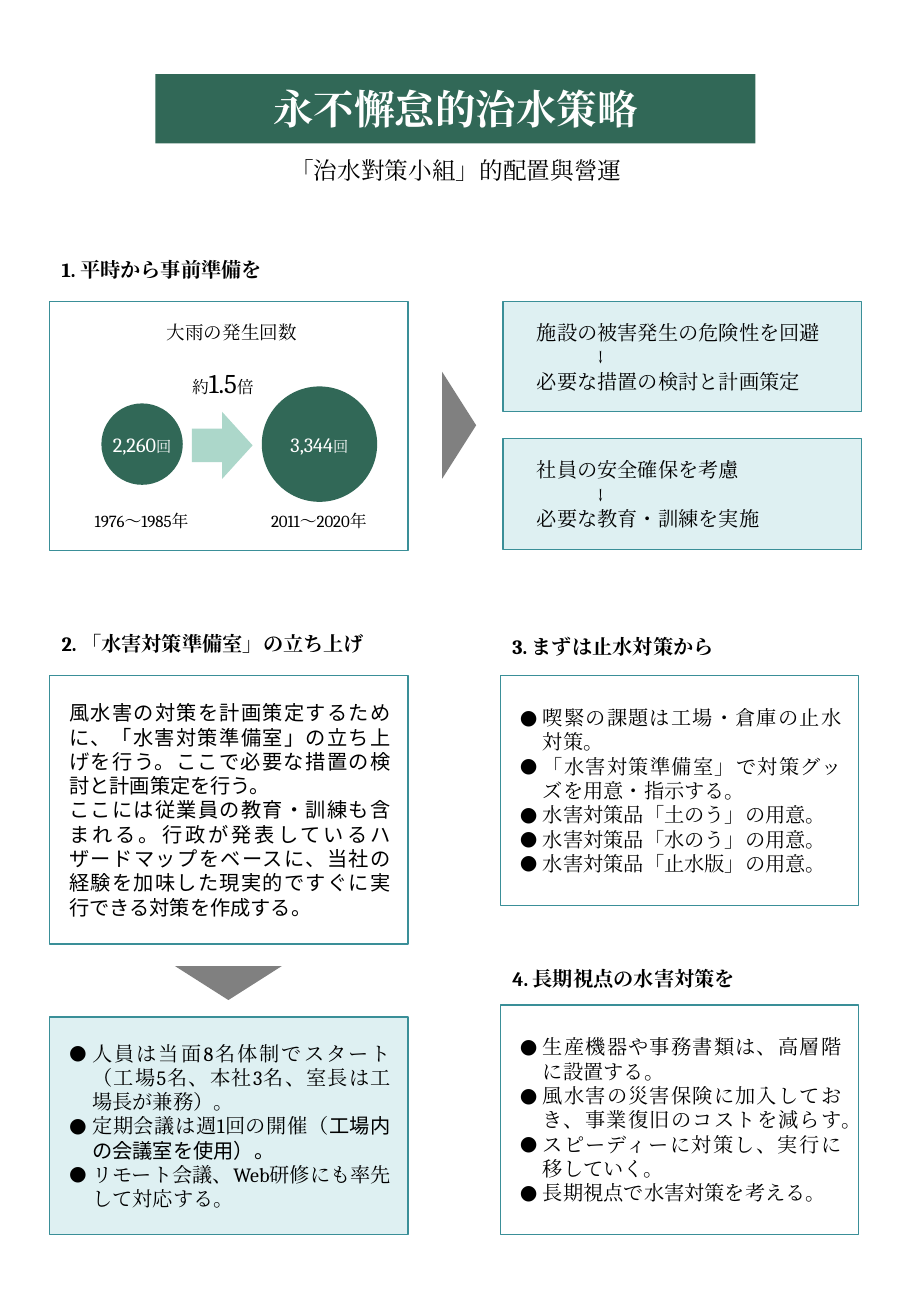
from dataclasses import dataclass

from lxml.etree import SubElement
from pptx import Presentation
from pptx.dml.color import RGBColor
from pptx.enum.lang import MSO_LANGUAGE_ID as Language
from pptx.enum.shapes import MSO_SHAPE as Shape
from pptx.enum.text import MSO_ANCHOR as Anchor, MSO_AUTO_SIZE as AutoSize, PP_ALIGN as Align
from pptx.oxml.ns import qn
from pptx.util import Inches, Pt


@dataclass(frozen=True)
class Theme:
    """Colours, fonts and type sizes of the leaflet."""
    green: str = "316857"
    mint: str = "ACD7CA"
    pale: str = "DEF0F2"
    teal: str = "3A8F98"
    grey: str = "808080"
    white: str = "FFFFFF"
    black: str = "000000"
    serif: str = "Cambria"
    sans: str = "Noto Sans CJK JP"
    title: int = 24
    figure: int = 16
    subtitle: int = 14
    body: int = 12
    caption: int = 11
    label: int = 10
    unit: int = 9
    leading: float = 1.2


THEME = Theme()
LEFT, RIGHT, WIDTH = 0.41, 4.12, 2.95
LIST_MARGINS = (0.16, 0.14)
STEP_MARGINS = (0.28, 0.13)

STAFF = [
    [("人員は当面8名体制でスタート（工場5名、本社3名、室長は工場長が兼務）。",)],
    [("定期会議は週1回の開催（",),
     ("工場内の会議室を使用）。", THEME.body, THEME.sans)],
    [("リモート会議、Web研修にも率先して対応する。",)],
]
FLOOD_BARRIERS = [[(item,)] for item in (
    "喫緊の課題は工場・倉庫の止水対策。",
    "「水害対策準備室」で対策グッズを用意・指示する。",
    "水害対策品「土のう」の用意。",
    "水害対策品「水のう」の用意。",
    "水害対策品「止水版」の用意。",
)]
LONG_TERM = [[(item,)] for item in (
    "生産機器や事務書類は、高層階に設置する。",
    "風水害の災害保険に加入しておき、事業復旧のコストを減らす。",
    "スピーディーに対策し、実行に移していく。",
    "長期視点で水害対策を考える。",
)]
OFFICE = [[(passage, THEME.body, THEME.sans)] for passage in (
    "風水害の対策を計画策定するために、「水害対策準備室」の立ち上げを行う。"
    "ここで必要な措置の検討と計画策定を行う。",
    "ここには従業員の教育・訓練も含まれる。行政が発表しているハザードマップをベースに、"
    "当社の経験を加味した現実的ですぐに実行できる対策を作成する。",
)]


def add_span(para, text, size=THEME.body, font=THEME.serif, color=THEME.black, bold=False):
    """Add one formatted run to a paragraph."""
    span = para.add_run()
    span.text = text
    span.font.size = Pt(size)
    span.font.name = font
    span.font.bold = bold
    span.font.color.rgb = RGBColor.from_string(color)
    span.font.language_id = Language.JAPANESE
    SubElement(span.font._element, qn("a:ea"), typeface=font)


def add_bullet(para):
    """Give a paragraph a hanging round bullet."""
    props = para._p.get_or_add_pPr()
    props.set("marL", str(Inches(0.19)))
    props.set("indent", str(-Inches(0.19)))
    SubElement(props, qn("a:buFont"), typeface=THEME.serif)
    SubElement(props, qn("a:buChar"), char="●")


def remove_bullet(para, tab=None):
    """Clear bullet and indent, with an optional tab stop."""
    props = para._p.get_or_add_pPr()
    props.set("marL", "0")
    props.set("indent", "0")
    SubElement(props, qn("a:buNone"))
    if tab:
        stops = SubElement(props, qn("a:tabLst"))
        SubElement(stops, qn("a:tab"), pos=str(Inches(tab)), algn="l")


def write(box, paragraphs, align=Align.JUSTIFY, anchor=Anchor.TOP, margins=(0.1, 0.1),
          bullets=False, tab=None, **style):
    """Fill a box with paragraphs, each a list of (text, size, font) runs."""
    frame = box.text_frame
    frame.word_wrap = True
    frame.auto_size = AutoSize.NONE
    frame.vertical_anchor = anchor
    frame.margin_left, frame.margin_right = map(Inches, margins)
    frame.margin_top = frame.margin_bottom = Inches(0.05)
    for index, runs in enumerate(paragraphs):
        para = frame.add_paragraph() if index else frame.paragraphs[0]
        size = max(run[1] if len(run) > 1 else THEME.body for run in runs)
        para.alignment = align
        para.line_spacing = Pt(size * THEME.leading)
        para.space_before = para.space_after = Pt(0)
        if bullets:
            add_bullet(para)
        else:
            remove_bullet(para, tab)
        for run in runs:
            add_span(para, *run, **style)


def place(box, left, top, width, height):
    """Move and size a placeholder."""
    box.left, box.top, box.width, box.height = map(Inches, (left, top, width, height))


def paint(box, fill=None, line=None):
    """Set the fill and outline of a box."""
    if fill:
        box.fill.solid()
        box.fill.fore_color.rgb = RGBColor.from_string(fill)
    else:
        box.fill.background()
    if line:
        box.line.color.rgb = RGBColor.from_string(line)
        box.line.width = Pt(0.75)
    else:
        box.line.fill.background()


def add_figure(page, kind, left, top, width, height, fill=None, line=None, rotation=0):
    """Add a preset shape without shadow."""
    figure = page.shapes.add_shape(kind, *map(Inches, (left, top, width, height)))
    figure.shadow.inherit = False
    figure.rotation = rotation
    paint(figure, fill, line)
    return figure


def add_label(page, left, top, width, height, *runs, align=Align.CENTER, bold=False):
    """Add a one-line text box."""
    box = page.shapes.add_textbox(*map(Inches, (left, top, width, height)))
    write(box, [runs], align, bold=bold)


def fill_list(box, left, top, height, items, fill=None):
    """Turn a body placeholder into a framed bullet list."""
    place(box, left, top, WIDTH, height)
    paint(box, fill, THEME.teal)
    write(box, items, anchor=Anchor.MIDDLE, margins=LIST_MARGINS, bullets=True)


def add_step(page, top, concern, action):
    """Add a pale panel that leads from a concern to an action."""
    panel = add_figure(page, Shape.RECTANGLE, 4.14, top, WIDTH, 0.91, THEME.pale, THEME.teal)
    write(panel, [[(concern,)], [("\t↓",)], [(action,)]], anchor=Anchor.MIDDLE,
          margins=STEP_MARGINS, tab=0.49)


def add_rainfall(page):
    """Draw the comparison of heavy rain counts."""
    add_figure(page, Shape.RECTANGLE, LEFT, 2.48, WIDTH, 2.05, line=THEME.teal)
    add_label(page, 1.03, 2.59, 1.76, 0.29, ("大雨の発生回数", THEME.caption))
    add_label(page, 1.33, 2.97, 1.01, 0.37, ("約", THEME.label), ("1.5", THEME.figure),
              ("倍", THEME.label))
    add_figure(page, Shape.RIGHT_ARROW, 1.58, 3.39, 0.5, 0.55, THEME.mint)
    for center, size, count, years in ((1.17, 0.67, "2,260", "1976～1985年"),
                                       (2.63, 0.95, "3,344", "2011～2020年")):
        circle = add_figure(page, Shape.OVAL, center - size / 2, 3.655 - size / 2, size, size,
                            THEME.green)
        write(circle, [[(count,), ("回", THEME.unit)]], Align.CENTER, Anchor.MIDDLE, (0, 0),
              color=THEME.white)
        circle.text_frame.word_wrap = False
        add_label(page, center - 0.7, 4.15, 1.39, 0.28, (years, THEME.label))


def main():
    """Build and save the leaflet."""
    deck = Presentation()
    deck.slide_width, deck.slide_height = Inches(7.5), Inches(10.83)
    page = deck.slides.add_slide(deck.slide_layouts.get_by_name("Comparison"))
    title, subtitle, staff, barriers, long_term = list(page.placeholders)[:5]

    place(title, 1.28, 0.61, 4.94, 0.57)
    paint(title, THEME.green)
    write(title, [[("永不懈怠的治水策略", THEME.title)]], Align.CENTER, Anchor.MIDDLE,
          color=THEME.white, bold=True)
    place(subtitle, 1.47, 1.23, 4.57, 0.34)
    write(subtitle, [[("「治水對策小組」的配置與營運", THEME.subtitle)]], Align.CENTER)

    for left, top, heading in ((LEFT, 2.07, "1. 平時から事前準備を"),
                               (LEFT, 5.15, "2. 「水害対策準備室」の立ち上げ"),
                               (RIGHT, 5.17, "3. まずは止水対策から"),
                               (RIGHT, 7.9, "4. 長期視点の水害対策を")):
        add_label(page, left, top, 2.97, 0.3, (heading,), align=Align.JUSTIFY, bold=True)

    add_rainfall(page)
    add_step(page, 2.48, "施設の被害発生の危険性を回避", "必要な措置の検討と計画策定")
    add_step(page, 3.61, "社員の安全確保を考慮", "必要な教育・訓練を実施")
    for left, top, rotation in ((3.34, 3.36, 90), (1.44, 7.95, 180)):
        add_figure(page, Shape.ISOSCELES_TRIANGLE, left, top, 0.88, 0.28, THEME.grey,
                   rotation=rotation)

    office = add_figure(page, Shape.RECTANGLE, LEFT, 5.56, WIDTH, 2.21, line=THEME.teal)
    write(office, OFFICE, anchor=Anchor.MIDDLE, margins=LIST_MARGINS)
    fill_list(staff, LEFT, 8.37, 1.79, STAFF, THEME.pale)
    fill_list(barriers, RIGHT, 5.56, 1.89, FLOOD_BARRIERS)
    fill_list(long_term, RIGHT, 8.27, 1.89, LONG_TERM)
    deck.save("out.pptx")


if __name__ == "__main__":
    main()
